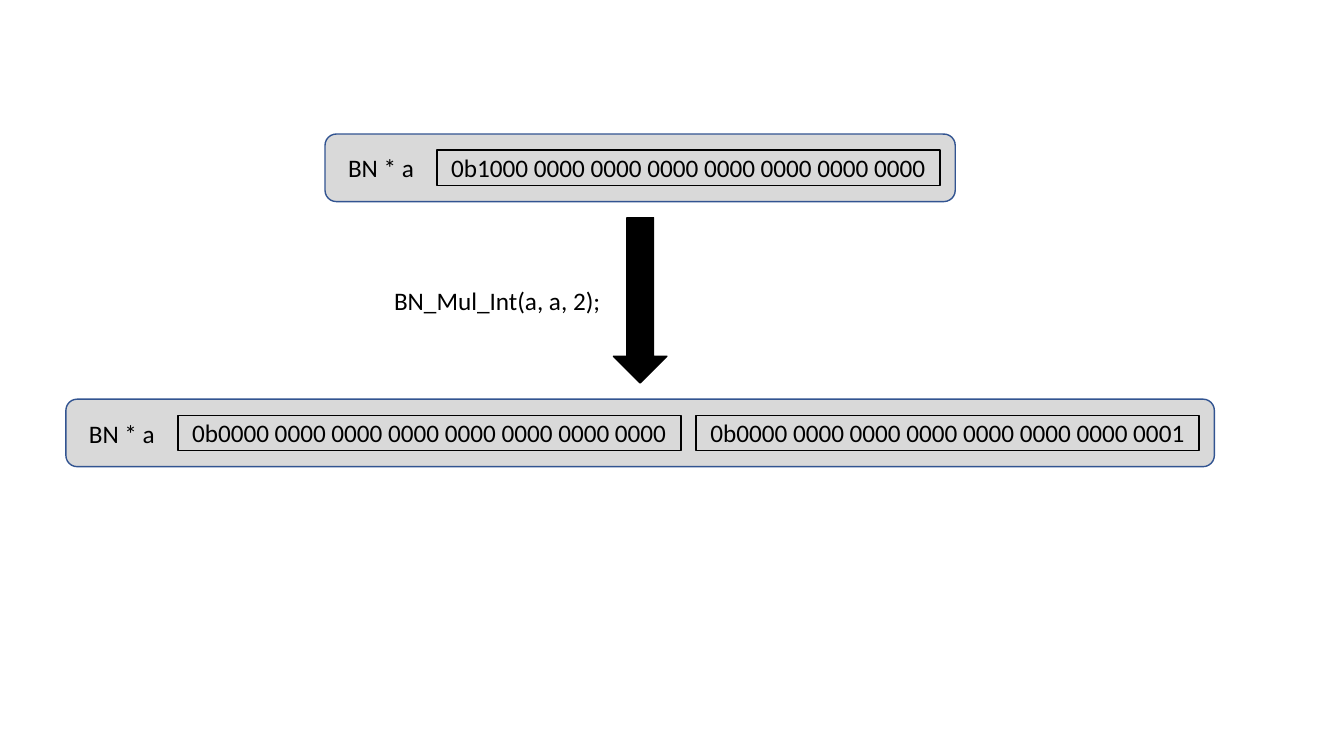
from dataclasses import dataclass

from pptx import Presentation
from pptx.dml.color import RGBColor
from pptx.enum.shapes import MSO_SHAPE
from pptx.enum.text import MSO_ANCHOR, MSO_AUTO_SIZE, PP_ALIGN
from pptx.shapes.autoshape import Shape
from pptx.shapes.shapetree import GroupShapes, SlideShapes
from pptx.util import Inches, Pt

WIDE, HIGH = Inches(13.33), Inches(7.5)


@dataclass(frozen=True)
class Theme:
    """Colours, font and type size."""
    ink: RGBColor = RGBColor(0, 0, 0)
    edge: RGBColor = RGBColor.from_string("325491")
    fill: RGBColor = RGBColor.from_string("D9D9D9")
    font: str = "Calibri"
    size: Pt = Pt(18)
    line: Pt = Pt(1)


@dataclass(frozen=True)
class Box:
    """A frame in percent of the slide's width and height."""
    left: float
    top: float
    width: float
    height: float

    def frame(self) -> tuple[int, int, int, int]:
        """Return the frame in slide units."""
        return (round(WIDE * self.left / 100), round(HIGH * self.top / 100),
                round(WIDE * self.width / 100), round(HIGH * self.height / 100))


@dataclass(frozen=True)
class Number:
    """A big number: its top edge and its machine words."""
    top: float
    words: tuple[str, ...]


THEME = Theme()
CENTRE = 47.63
LABEL, WORD, GAP = 8.33, 37.43, 1.13
TALL, INSET = 8.93, 2.13
ZEROS = " 0000" * 6
BEFORE = Number(17.73, (f"0b1000{ZEROS} 0000",))
AFTER = Number(52.8, (f"0b0000{ZEROS} 0000", f"0b0000{ZEROS} 0001"))


def write(shape: Shape, text: str, align: PP_ALIGN = PP_ALIGN.CENTER,
          anchor: MSO_ANCHOR = MSO_ANCHOR.MIDDLE, wrap: bool = True) -> None:
    """Put one styled line of text in a shape."""
    frame = shape.text_frame
    frame.word_wrap = wrap
    frame.vertical_anchor = anchor
    line = frame.paragraphs[0]
    line.text = text
    line.alignment = align
    line.font.name, line.font.size = THEME.font, THEME.size
    line.font.color.rgb = THEME.ink


def draw(shapes: SlideShapes | GroupShapes, kind: MSO_SHAPE, box: Box,
         fill: RGBColor, edge: RGBColor) -> Shape:
    """Add a filled and outlined shape."""
    shape = shapes.add_shape(kind, *box.frame())
    shape.shadow.inherit = False
    shape.fill.solid()
    shape.fill.fore_color.rgb = fill
    shape.line.color.rgb = edge
    shape.line.width = THEME.line
    return shape


def show(shapes: SlideShapes, number: Number) -> None:
    """Draw a number as a group: panel, label and one cell per word."""
    group = shapes.add_group_shape().shapes
    width = LABEL + len(number.words) * (WORD + GAP)
    left = CENTRE - width / 2
    draw(group, MSO_SHAPE.FLOWCHART_ALTERNATE_PROCESS,
         Box(left, number.top, width, TALL), THEME.fill, THEME.edge)
    label = group.add_textbox(*Box(left, number.top, LABEL, TALL).frame())
    write(label, "BN * a")
    for step, word in enumerate(number.words):
        box = Box(left + LABEL + step * (WORD + GAP), number.top + INSET,
                  WORD, TALL - 2 * INSET)
        write(draw(group, MSO_SHAPE.RECTANGLE, box, THEME.fill, THEME.ink), word)


def link(shapes: SlideShapes, text: str) -> None:
    """Draw the arrow between the numbers, with its call beside it."""
    middle = (BEFORE.top + TALL + AFTER.top) / 2
    length, thick = 12.3, 7.07
    box = Box(CENTRE - length / 2, middle - thick / 2, length, thick)
    arrow = draw(shapes, MSO_SHAPE.RIGHT_ARROW, box, THEME.ink, THEME.ink)
    arrow.rotation = 90
    height = 5.33
    note = shapes.add_textbox(
        *Box(28.58, middle - height / 2, 17.03, height).frame())
    write(note, text, PP_ALIGN.LEFT, MSO_ANCHOR.TOP, False)
    note.text_frame.auto_size = MSO_AUTO_SIZE.SHAPE_TO_FIT_TEXT


def main() -> None:
    """Build and save the slide."""
    deck = Presentation()
    deck.slide_width, deck.slide_height = WIDE, HIGH
    shapes = deck.slides.add_slide(deck.slide_layouts[6]).shapes
    show(shapes, BEFORE)
    link(shapes, "BN_Mul_Int(a, a, 2);")
    show(shapes, AFTER)
    deck.save("out.pptx")


main()
